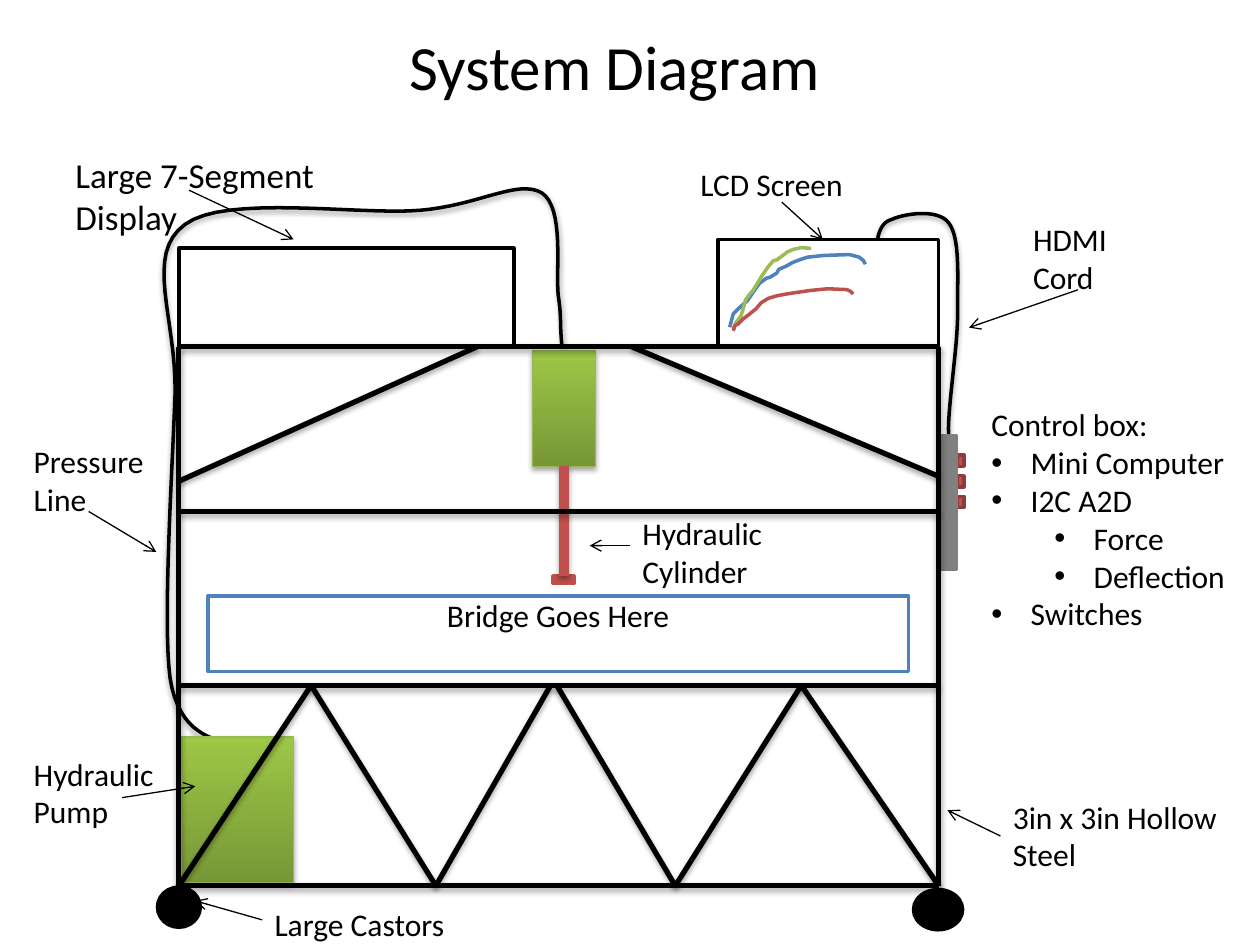
from dataclasses import dataclass

from lxml import etree
from pptx import Presentation
from pptx.dml.color import RGBColor
from pptx.enum.shapes import MSO_CONNECTOR, MSO_SHAPE
from pptx.enum.text import MSO_ANCHOR, PP_ALIGN
from pptx.oxml.ns import qn
from pptx.util import Pt


@dataclass(frozen=True)
class Theme:
    font: str = "Calibri"
    title: int = 36
    large: int = 20
    body: int = 18
    black: str = "000000"
    white: str = "FFFFFF"
    grey: str = "808080"
    blue: str = "4F81BD"
    green: str = "9BBB59"
    green_dark: str = "779737"
    green_light: str = "9DC746"
    green_edge: str = "98B955"
    red: str = "C0504D"
    red_dark: str = "8E3B39"


T = Theme()
rgb = RGBColor.from_string

prs = Presentation()
prs.slide_width, prs.slide_height = Pt(720), Pt(540)
s = prs.slides.add_slide(prs.slide_layouts[6])
shadowed = []


def add_text(sp, lines, size=T.body, align=PP_ALIGN.LEFT, wrap=True):
    """Fill sp with lines; a pair (level, text) is a bullet, a plain string is not."""
    tf = sp.text_frame
    tf.word_wrap = wrap
    tf.vertical_anchor = MSO_ANCHOR.TOP
    for i, line in enumerate(lines):
        p = tf.paragraphs[0] if i == 0 else tf.add_paragraph()
        p.alignment = align
        if isinstance(line, tuple):
            p.level, line = line
            pPr = p._p.get_or_add_pPr()
            pPr.set("marL", str(Pt(22.5 + 36 * p.level)))
            pPr.set("indent", str(-Pt(22.5)))
            etree.SubElement(pPr, qn("a:buFont"), typeface="Arial")
            etree.SubElement(pPr, qn("a:buChar"), char="•")
        r = p.add_run()
        r.text = line
        r.font.name, r.font.size = T.font, Pt(size)
        r.font.color.rgb = rgb(T.black)


def add_line(start, end, width=3, color=T.black, arrow=False):
    line = s.shapes.add_connector(MSO_CONNECTOR.STRAIGHT, *map(Pt, start + end))
    line.line.width = Pt(width)
    line.line.color.rgb = rgb(color)
    if arrow:
        etree.SubElement(line.line._get_or_add_ln(), qn("a:tailEnd"), type="arrow")
    else:
        shadowed.append(line)
    return line


# Cords, as cubic curves: a start, then two control points and an end per piece
hdmi_cord = [
    (500.4, 142.6), (501.8, 134.6), (502.6, 127.4), (509.8, 125.3),
    (516.2, 122.4), (535.7, 118.8), (542.2, 127.4),
    (548.6, 136.1), (547.2, 156.2), (547.2, 177.1),
    (547.9, 198), (539.3, 244.8), (542.9, 252.7)]
pressure_line = [
    (321.1, 197.3), (319.7, 182.9), (321.1, 182.9), (319, 168.5),
    (317.5, 154.1), (322.6, 118.8), (309.6, 110.2),
    (295.9, 102.2), (273.6, 117.4), (239.8, 120.2),
    (205.9, 123.1), (128.9, 110.9), (105.8, 128.2),
    (82.1, 145.4), (100.8, 181.4), (100.1, 224.6),
    (98.6, 267.8), (92.9, 354.2), (97.2, 387.4),
    (102.2, 420.5), (123.8, 422), (129.6, 424.8)]
STEPS = 16
for cord in (hdmi_cord, pressure_line):
    points = []
    for i in range(0, len(cord) - 1, 3):
        for t in (k / STEPS for k in range(1, STEPS + 1)):
            weights = ((1 - t) ** 3, 3 * t * (1 - t) ** 2, 3 * t * t * (1 - t), t ** 3)
            x, y = (sum(w * v for w, v in zip(weights, axis))
                    for axis in zip(*cord[i:i + 4]))
            points.append((Pt(x), Pt(y)))
    fb = s.shapes.build_freeform(*map(Pt, cord[0]))
    fb.add_line_segments(points, close=False)
    sp = fb.convert_to_shape()
    sp.fill.background()
    sp.line.color.rgb, sp.line.width = rgb(T.black), Pt(2)
    shadowed.append(sp)

# Equipment: name, box, fill (None for the green gradient), line colour
parts = {}
equipment = [(f"button {i}", (547.2, 260 + 11.8 * i, 3.6, 6.5), T.red, T.red_dark)
             for i in range(3)]
equipment += [
    ("lcd", (410.4, 136.8, 126, 61.2), T.white, T.black),
    ("display", (102.2, 141.8, 191.5, 56.2), T.white, T.black),
    ("cylinder", (304.2, 200.2, 36, 66.3), None, T.green_edge),
    ("piston foot", (316.1, 329, 12.2, 4.3), T.red, T.red),
    ("control box", (536.6, 249.1, 10, 76.3), T.grey, T.grey),
    ("pump", (103.7, 421.2, 64, 83.5), None, T.green_edge),
    ("bridge", (118.8, 340.6, 400.3, 43.2), T.white, T.blue),
]
for name, box, fill, edge in equipment:
    sp = parts[name] = s.shapes.add_shape(MSO_SHAPE.RECTANGLE, *map(Pt, box))
    if fill:
        sp.fill.solid()
        sp.fill.fore_color.rgb = rgb(fill)
    else:
        sp.fill.gradient()
        sp.fill.gradient_angle = 90
        for stop, color in zip(sp.fill.gradient_stops, (T.green_dark, T.green_light)):
            stop.color.rgb = rgb(color)
        shadowed.append(sp)
    sp.line.color.rgb = rgb(edge)
    sp.line.width = Pt(2 if fill else 0.75)

parts["bridge"].text_frame.margin_top = 0
add_text(parts["bridge"], ["Bridge Goes Here"], align=PP_ALIGN.CENTER)

rod = add_line((322.2, 266.5), (322.2, 329), width=6, color=T.red)
rod.begin_connect(parts["cylinder"], 2)
rod.end_connect(parts["piston foot"], 0)

# Steel frame
LEFT, RIGHT = 102.2, 536.4
TOP, BEAM, DECK, BOTTOM = 198, 292.4, 391.7, 506.2
for x in (LEFT, RIGHT):
    add_line((x, TOP), (x, BOTTOM))
for y in (TOP, BEAM, DECK, BOTTOM):
    add_line((LEFT, y), (RIGHT, y))
add_line((272.9, TOP), (LEFT, 275))
add_line((360.7, TOP), (RIGHT, 272.2))
for foot, head in ((LEFT, 177.8), (249.1, 177.8), (249.1, 314.6),
                   (385.9, 318.2), (385.9, 457.9), (RIGHT, 457.9)):
    add_line((foot, BOTTOM), (head, DECK))

for box in ((90, 506.9, 24.5, 23), (522, 508.3, 28.1, 23)):
    sp = s.shapes.add_shape(MSO_SHAPE.OVAL, *map(Pt, box))
    sp.fill.solid()
    sp.fill.fore_color.rgb = sp.line.color.rgb = rgb(T.black)
    sp.line.width = Pt(2)

# Labels: lines, box, size, arrow start (a point or a side of the box), arrow tip
SIDE_LEFT, SIDE_BOTTOM = 1, 2
labels = [
    (["Control box:", (0, "Mini Computer"), (0, "I2C A2D"), (1, "Force"),
      (1, "Deflection"), (0, "Switches")],
     (559.4, 228.2, 160.6, 117.4), T.body, None, None),
    (["HDMI Cord"], (583.2, 122.4, 65.5, 43.2), T.body, SIDE_BOTTOM, (553.7, 187.2)),
    (["LCD Screen"], (393.1, 90.7, 107.3, 24.8), T.body, SIDE_BOTTOM, (470.2, 136.8)),
    (["Large 7-Segment Display"], (36, 84.2, 152, 55.4), T.large,
     (108, 108.7), (167.8, 136.8)),
    (["Hydraulic", "Cylinder"], (360, 290.2, 93.6, 43.2), T.body,
     SIDE_LEFT, (337, 311.8)),
    (["Pressure", "Line"], (12.2, 249.1, 77, 43.2), T.body, SIDE_BOTTOM, (89.3, 315.4)),
    (["Hydraulic Pump"], (12.2, 427.7, 84.2, 43.2), T.body, (69.8, 455.8), (111.6, 449.3)),
    (["3in x 3in Hollow", "Steel"], (571.7, 452.2, 136.8, 51.1), T.body,
     SIDE_LEFT, (541.4, 463)),
    (["Large Castors"], (149.8, 513.4, 211, 24.5), T.body, SIDE_LEFT, (111.6, 514.8)),
]
for lines, box, size, start, tip in labels:
    sp = s.shapes.add_textbox(*map(Pt, box))
    add_text(sp, lines, size=size)
    if tip:
        joined = isinstance(start, int)
        arrow = add_line(tip if joined else start, tip, width=0.75, arrow=True)
        if joined:
            arrow.begin_connect(sp, start)

title = s.shapes.add_textbox(Pt(226.8), Pt(12.2), Pt(251.3), Pt(51.1))
add_text(title, ["System Diagram"], size=T.title, wrap=False)

# Traces on the LCD screen
traces = {
    T.blue: [(417, 187), (419, 179.5), (423.5, 175), (427, 172), (431.5, 165.5),
             (434, 162), (438, 159), (440, 158.5), (444, 156), (445, 154),
             (449.5, 152), (453, 150), (457, 148.5), (461.5, 147), (471, 146),
             (485.5, 145.5), (491, 147), (493.5, 149), (494.5, 151)],
    T.green: [(419, 188), (420.5, 184.5), (423.5, 180.5), (425, 175.5), (426, 171.5),
              (428.5, 168), (430, 166.5), (432.5, 162.5), (435.5, 157.5),
              (439, 152.5), (442, 149), (444, 148.5), (448, 145.5), (450, 144),
              (453.5, 142.5), (458, 141.5), (463.5, 142)],
    T.red: [(419, 189), (420, 186), (422, 185), (425, 182), (427, 180.5),
            (432, 176.5), (435, 173), (439, 170.5), (444, 169), (449.5, 168),
            (456, 167), (463, 166), (473, 165), (484, 165.5), (486, 166.5),
            (487.5, 168)],
}
for color, trace in traces.items():
    fb = s.shapes.build_freeform(*map(Pt, trace[0]))
    fb.add_line_segments([(Pt(x), Pt(y)) for x, y in trace[1:]], close=False)
    sp = fb.convert_to_shape()
    sp.fill.background()
    sp.line.color.rgb, sp.line.width = rgb(color), Pt(2)

# An empty effect list removes the theme shadow; the listed shapes get their own
shadow_ids = {sp.shape_id for sp in shadowed}
for sp in s.shapes:
    effects = etree.SubElement(sp._element.spPr, qn("a:effectLst"))
    if sp.shape_id in shadow_ids:
        shadow = etree.SubElement(effects, qn("a:outerShdw"), blurRad=str(Pt(3.1)),
                                  dist=str(Pt(1.6)), dir="5400000", rotWithShape="0")
        black = etree.SubElement(shadow, qn("a:srgbClr"), val=T.black)
        etree.SubElement(black, qn("a:alpha"), val="35000")

prs.save("out.pptx")
